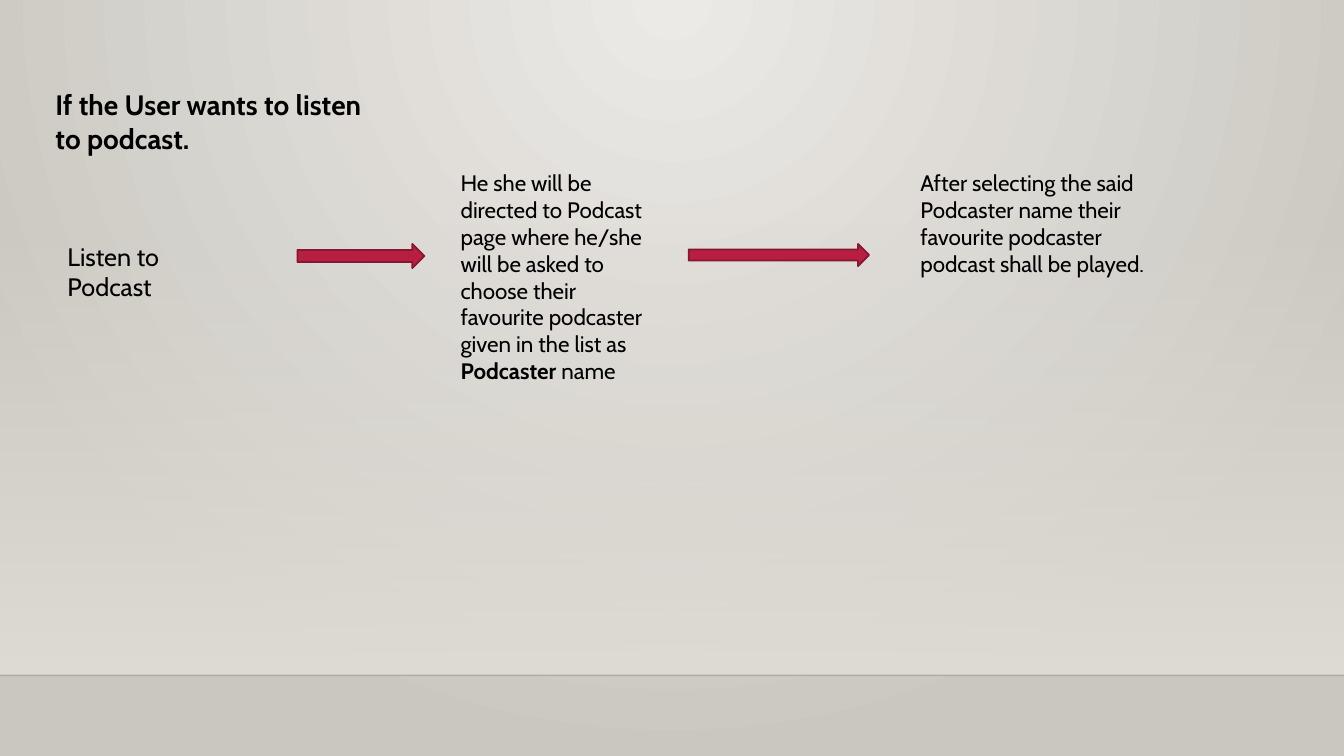
from lxml import etree
from pptx import Presentation, util as u
from pptx.dml.color import RGBColor
from pptx.enum import shapes, text
from pptx.oxml import parse_xml
from pptx.oxml.ns import nsdecls, qn

FONT = "Cabin"
BLACK = "000000"
STEPS = [
    ((0.57, 2.34, 1.95, 0.4), 18, [("Listen to Podcast", False)]),
    ((4.47, 1.63, 2.19, 2.26), 16, [
        ("He she will be directed to Podcast page where he/she will be asked to "
         "choose their favourite podcaster given in the list as ", False),
        ("Podcaster", True),
        (" name", False),
    ]),
    ((9.03, 1.63, 2.5, 1.18), 16, [
        ("After selecting the said Podcaster name their favourite podcaster "
         "podcast shall be played.", False),
    ]),
]
ARROWS = [(2.95, 2.42, 1.26, 0.24), (6.83, 2.42, 1.79, 0.22)]


def rgb(value):
    """Return the colour for a hex string."""
    return RGBColor.from_string(value)


def inches(box):
    """Return the lengths of a box in inches."""
    return [u.Inches(length) for length in box]


def set_gradient(fill_owner, stops, direction):
    """Replace the gradient fill of an element by the given stops and direction."""
    stop_xml = "".join(
        f'<a:gs pos="{position * 1000}"><a:srgbClr val="{color}">'
        f'<a:alpha val="{alpha * 1000}"/></a:srgbClr></a:gs>'
        for position, color, alpha in stops)
    gradient = parse_xml(
        f'<a:gradFill {nsdecls("a")} rotWithShape="1">'
        f'<a:gsLst>{stop_xml}</a:gsLst>{direction}</a:gradFill>')
    current = next(fill_owner.iter(qn("a:gradFill")))
    current.getparent().replace(current, gradient)


def add_backdrop(slide, box):
    """Draw the radial background, the fading wall and the floor line."""
    slide.background.fill.gradient()
    set_gradient(
        slide.element, [(0, "ECEAE7", 100), (100, "CAC7C1", 100)],
        '<a:path path="circle">'
        '<a:fillToRect l="43000" t="0" r="43000" b="100000"/></a:path>')
    left, top, width, height = inches(box)
    wall = slide.shapes.add_shape(
        shapes.MSO_SHAPE.RECTANGLE, left, top, width, height)
    wall.shadow.inherit = False
    wall.line.fill.background()
    wall.fill.gradient()
    set_gradient(wall.element, [(0, "DFDBD5", 0), (100, "DFDBD5", 100)],
                 '<a:lin ang="5400000" scaled="0"/>')
    floor = slide.shapes.add_connector(
        shapes.MSO_CONNECTOR.STRAIGHT, left, top + height, left + width, top + height)
    floor.line.width = u.Pt(1)
    floor.line.color.rgb = rgb("000001")
    color = next(floor.element.iter(qn("a:srgbClr")))
    etree.SubElement(color, qn("a:alpha")).set("val", "20000")
    etree.SubElement(floor.element.spPr, qn("a:effectLst"))


def write_text(shape, size, runs):
    """Fill a shape with left-aligned runs given as wording and boldness."""
    frame = shape.text_frame
    frame.word_wrap = True
    frame.auto_size = text.MSO_AUTO_SIZE.NONE
    frame.vertical_anchor = text.MSO_ANCHOR.TOP
    paragraph = frame.paragraphs[0]
    paragraph.alignment = text.PP_ALIGN.LEFT
    for wording, bold in runs:
        run = paragraph.add_run()
        run.text = wording
        run.font.name = FONT
        run.font.size = u.Pt(size)
        run.font.bold = bold
        run.font.color.rgb = rgb(BLACK)


def add_title(slide, box):
    """Place and write the slide title."""
    title = slide.shapes.title
    title.left, title.top, title.width, title.height = inches(box)
    write_text(title, 20, [("If the User wants to listen to podcast.", True)])


def add_step(slide, box, size, runs):
    """Add the description of one step."""
    write_text(slide.shapes.add_textbox(*inches(box)), size, runs)


def add_arrow(slide, box):
    """Add a block arrow leading to the next step."""
    arrow = slide.shapes.add_shape(shapes.MSO_SHAPE.RIGHT_ARROW, *inches(box))
    arrow.shadow.inherit = False
    arrow.fill.solid()
    arrow.fill.fore_color.rgb = rgb("B71E42")
    arrow.line.color.rgb = rgb("871631")
    arrow.line.width = u.Pt(1.25)


def main():
    """Build the slide and save it."""
    presentation = Presentation()
    presentation.slide_width = u.Inches(13.33)
    presentation.slide_height = u.Inches(7.5)
    slide = presentation.slides.add_slide(presentation.slide_layouts[5])
    add_backdrop(slide, (0, 2.21, 13.33, 4.49))
    add_title(slide, (0.45, 0.82, 3.25, 0.77))
    for box, size, runs in STEPS:
        add_step(slide, box, size, runs)
    for box in ARROWS:
        add_arrow(slide, box)
    presentation.save("out.pptx")


if __name__ == "__main__":
    main()
